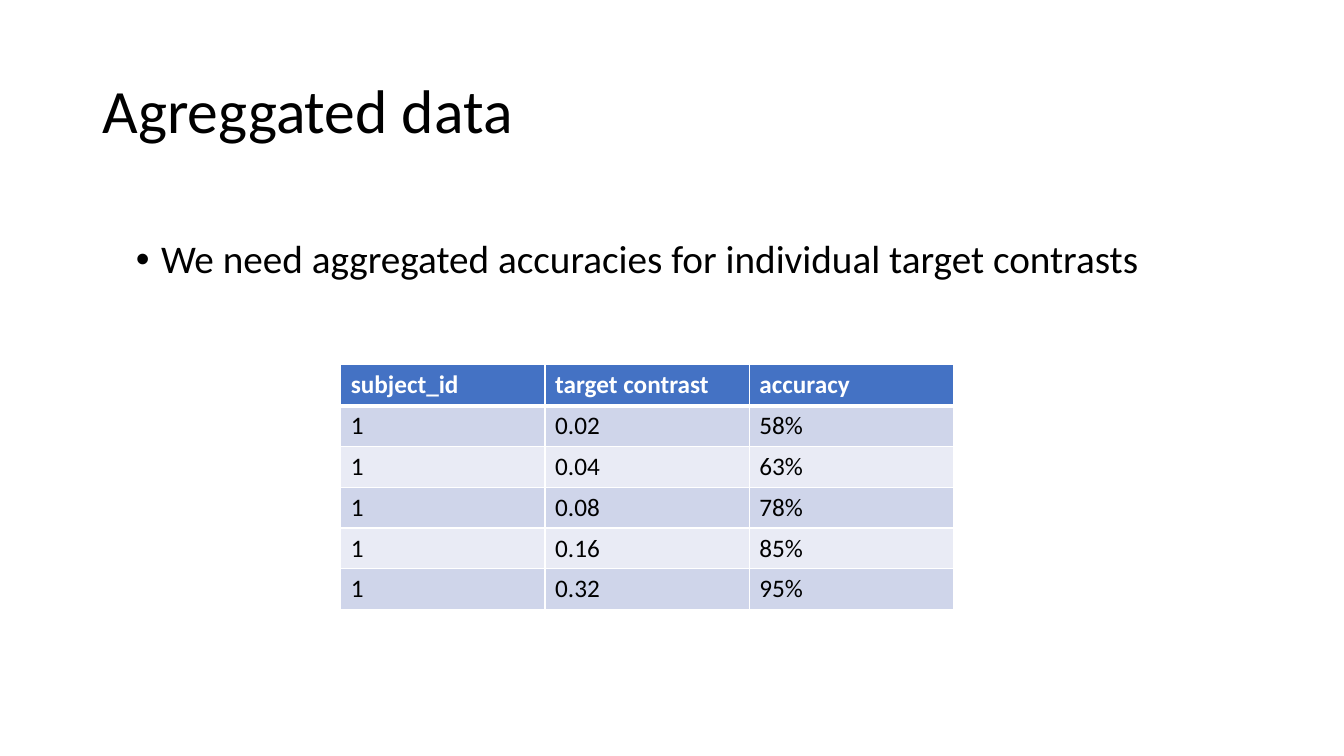
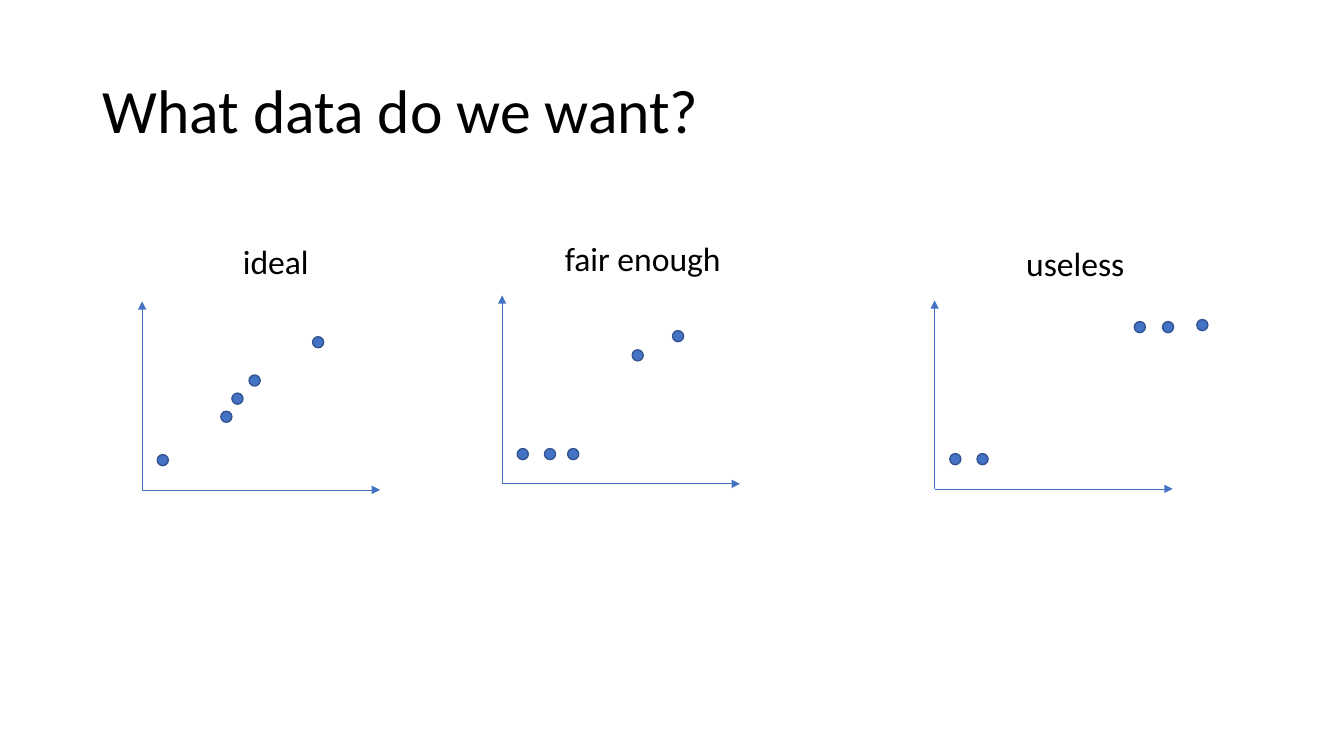
"""Build two slides on aggregated accuracies and the data patterns wanted from them."""
from lxml.etree import SubElement
from pptx import Presentation
from pptx.dml.color import RGBColor
from pptx.enum.shapes import MSO_CONNECTOR, MSO_SHAPE
from pptx.enum.text import MSO_ANCHOR, PP_ALIGN
from pptx.oxml.ns import qn
from pptx.util import Pt

EMU_PER_PX = 9144
FONT = "Calibri"
COLORS = {
    "text": "000000",
    "white": "FFFFFF",
    "accent": "4472C4",
    "dot_line": "325491",
    "band_dark": "CFD5EA",
    "band_light": "E9EBF5",
}
AXIS_WIDTH, AXIS_HEIGHT = 236, 187
DOT_SIZE = 11

ACCURACY_ROWS = [
    ("subject_id", "target contrast", "accuracy"),
    ("1", "0.02", "58%"),
    ("1", "0.04", "63%"),
    ("1", "0.08", "78%"),
    ("1", "0.16", "85%"),
    ("1", "0.32", "95%"),
]
PLOTS = [
    {"label": "ideal", "origin": (141, 486), "label_offset": (-33, -247),
     "dots": [(15, -35), (78, -78), (89, -96), (106, -114), (169, -152)]},
    {"label": "fair enough", "origin": (498, 480), "label_offset": (-26, -244),
     "dots": [(15, -35), (42, -35), (65, -35), (129, -133), (169, -152)]},
    {"label": "useless", "origin": (927, 485), "label_offset": (-26, -244),
     "dots": [(15, -35), (42, -35), (198, -166), (226, -166), (260, -168)]},
]


def px(*lengths):
    """Turn px lengths into a list of EMU."""
    return [length * EMU_PER_PX for length in lengths]


def color(name):
    """Return the named colour."""
    return RGBColor.from_string(COLORS[name])


def write_text(frame, text, size=18, fill="text", bold=False, align=PP_ALIGN.LEFT,
               anchor=MSO_ANCHOR.TOP, line_spacing=1.0, space_before=0, bullet=False):
    """Write one formatted paragraph into a text frame."""
    frame.word_wrap = True
    frame.vertical_anchor = anchor
    paragraph = frame.paragraphs[0]
    paragraph.alignment = align
    paragraph.line_spacing = line_spacing
    paragraph.space_before = Pt(space_before)
    run = paragraph.add_run()
    run.text = text
    run.font.name = FONT
    run.font.size = Pt(size)
    run.font.bold = bold
    run.font.color.rgb = color(fill)
    if bullet:
        properties = paragraph._p.get_or_add_pPr()
        indent, = px(25)
        properties.set("marL", str(indent))
        properties.set("indent", str(-indent))
        SubElement(properties, qn("a:buFont"), typeface="Arial")
        SubElement(properties, qn("a:buChar"), char="•")


def add_text(slide, box, text, **text_format):
    """Add a text box holding one paragraph."""
    text_box = slide.shapes.add_textbox(*px(*box))
    write_text(text_box.text_frame, text, line_spacing=0.9, **text_format)


def add_titled_slide(presentation, title):
    """Add a blank slide with the shared title style."""
    slide = presentation.slides.add_slide(presentation.slide_layouts[6])
    add_text(slide, (92, 40, 1150, 145), title, size=44, anchor=MSO_ANCHOR.MIDDLE)
    return slide


def set_cell_borders(cell, **widths):
    """Draw white borders of the given point widths around a cell."""
    properties = cell._tc.get_or_add_tcPr()
    for side in ("L", "R", "T", "B"):
        line = SubElement(properties, qn(f"a:ln{side}"), w=str(Pt(widths.get(side, 1))))
        solid = SubElement(line, qn("a:solidFill"))
        SubElement(solid, qn("a:srgbClr"), val=COLORS["white"])


def add_banded_table(slide, box, rows):
    """Add a table with a header row and alternating bands."""
    table = slide.shapes.add_table(len(rows), len(rows[0]), *px(*box)).table
    for row_index, row in enumerate(rows):
        header = row_index == 0
        band = "band_dark" if row_index % 2 else "band_light"
        for column_index, text in enumerate(row):
            cell = table.cell(row_index, column_index)
            set_cell_borders(cell, T=3 if row_index == 1 else 1, B=3 if header else 1)
            cell.fill.solid()
            cell.fill.fore_color.rgb = color("accent" if header else band)
            write_text(cell.text_frame, text, bold=header,
                       fill="white" if header else "text")


def add_arrow(slide, start, end):
    """Add a thin straight arrow."""
    arrow = slide.shapes.add_connector(MSO_CONNECTOR.STRAIGHT, *px(*start, *end))
    arrow.line.color.rgb = color("accent")
    arrow.line.width = Pt(0.5)
    SubElement(arrow.line._get_or_add_ln(), qn("a:tailEnd"), type="triangle")
    SubElement(arrow._element.spPr, qn("a:effectLst"))


def add_dot(slide, left, top):
    """Add one data point."""
    dot = slide.shapes.add_shape(MSO_SHAPE.OVAL, *px(left, top, DOT_SIZE, DOT_SIZE))
    dot.shadow.inherit = False
    dot.fill.solid()
    dot.fill.fore_color.rgb = color("accent")
    dot.line.color.rgb = color("dot_line")
    dot.line.width = Pt(1)


def add_plot(slide, label, origin, label_offset, dots):
    """Add a labelled sketch of a scatter plot."""
    x, y = origin
    add_arrow(slide, origin, (x, y - AXIS_HEIGHT))
    add_arrow(slide, origin, (x + AXIS_WIDTH, y))
    for dot_x, dot_y in dots:
        add_dot(slide, x + dot_x, y + dot_y)
    label_x, label_y = label_offset
    add_text(slide, (x + label_x, y + label_y, 331, 52), label,
             size=24, align=PP_ALIGN.CENTER, space_before=10)


def main():
    """Build and save the presentation."""
    presentation = Presentation()
    presentation.slide_width, presentation.slide_height = px(1333, 750)

    slide = add_titled_slide(presentation, "Agreggated data")
    add_text(slide, (125, 233, 1150, 476),
             "We need aggregated accuracies for individual target contrasts",
             size=28, space_before=10, bullet=True)
    add_banded_table(slide, (338, 362, 608, 243), ACCURACY_ROWS)

    slide = add_titled_slide(presentation, "What data do we want?")
    for plot in PLOTS:
        add_plot(slide, **plot)

    presentation.save("out.pptx")


if __name__ == "__main__":
    main()
